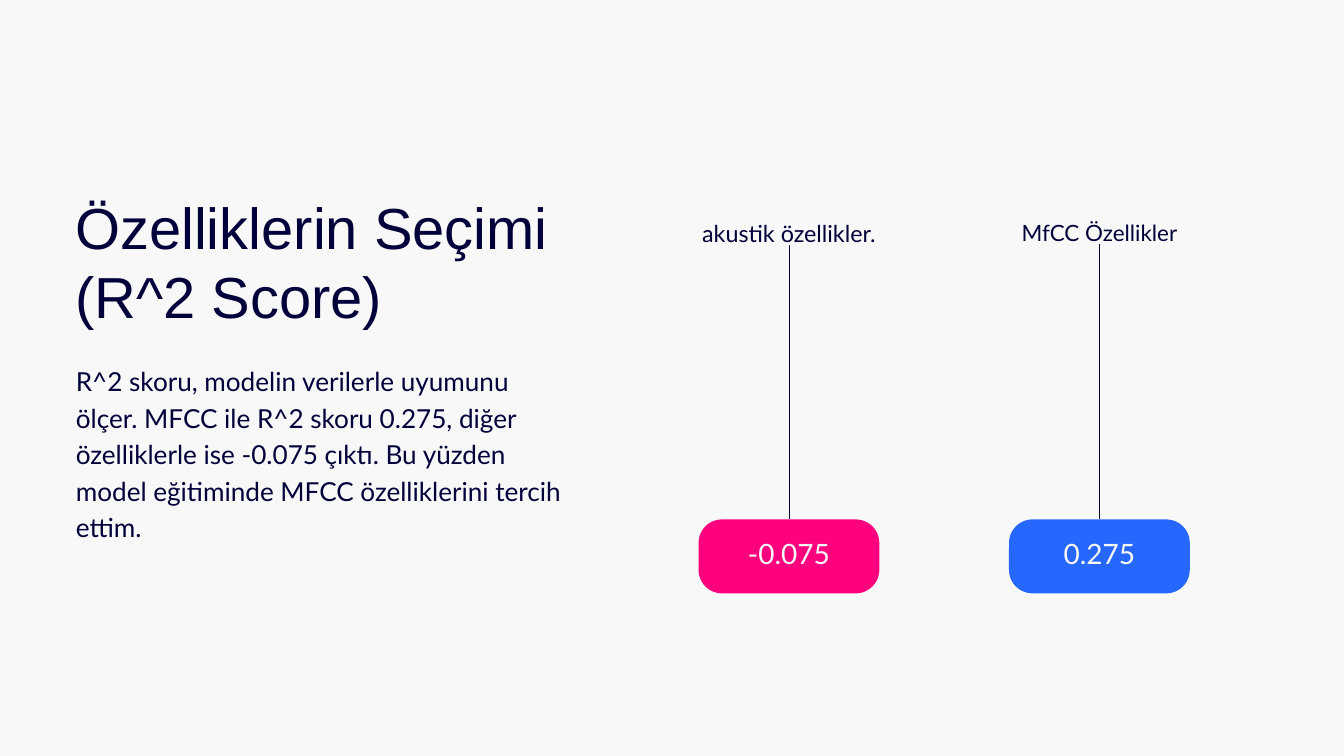
from dataclasses import dataclass

from lxml import etree
from pptx import Presentation
from pptx.dml.color import RGBColor
from pptx.enum.shapes import MSO_CONNECTOR, MSO_SHAPE
from pptx.enum.text import MSO_ANCHOR, PP_ALIGN
from pptx.oxml.ns import qn
from pptx.slide import Slide
from pptx.util import Inches, Pt

LEFT, CENTER = PP_ALIGN.LEFT, PP_ALIGN.CENTER
TOP, MIDDLE = MSO_ANCHOR.TOP, MSO_ANCHOR.MIDDLE
ROUNDED, STRAIGHT = MSO_SHAPE.ROUNDED_RECTANGLE, MSO_CONNECTOR.STRAIGHT

NAVY = RGBColor(0x01, 0x00, 0x3B)
PINK = RGBColor(0xFF, 0x00, 0x7E)
BLUE = RGBColor(0x26, 0x67, 0xFF)
PAPER = RGBColor(0xF8, 0xF8, 0xF8)

PILL_TOP, PILL_WIDTH, PILL_HEIGHT, PILL_RADIUS = 7.73, 2.69, 1.1, 0.35
SCORE_TOP, SCORE_HEIGHT = 7.57, 1.25
LABEL_TOP, LABEL_WIDTH = 3.19, 3.24


@dataclass
class TextBlock:
    text: str
    left: float
    top: float
    width: float
    height: float
    size: float
    leading: float
    font: str = "Lato"
    color: RGBColor = NAVY
    align: PP_ALIGN = LEFT
    anchor: MSO_ANCHOR = TOP


@dataclass
class Score:
    label: str
    value: str
    center: float
    label_size: float
    label_leading: float
    label_height: float
    color: RGBColor


BLOCKS = [
    TextBlock("Özelliklerin Seçimi (R^2 Score)", 1.12, 2.85, 8.03, 2.06, 62, 74.4, "Arial"),
    TextBlock(
        "R^2 skoru, modelin verilerle uyumunu ölçer. MFCC ile R^2 skoru 0.275, "
        "diğer özelliklerle ise -0.075 çıktı. Bu yüzden model eğitiminde MFCC "
        "özelliklerini tercih ettim.",
        1.13, 5.36, 7.27, 2.68, 28, 39.2,
    ),
]
SCORES = [
    Score("akustik özellikler.", "-0.075", 11.74, 25, 35, 0.46, PINK),
    Score("MfCC Özellikler", "0.275", 16.36, 24, 33.6, 0.44, BLUE),
]


def add_text(s: Slide, block: TextBlock) -> None:
    box = (block.left, block.top, block.width, block.height)
    tf = s.shapes.add_textbox(*map(Inches, box)).text_frame
    frame = {"word_wrap": True, "vertical_anchor": block.anchor}
    frame |= dict.fromkeys(("margin_left", "margin_top", "margin_right", "margin_bottom"), 0)
    for name, value in frame.items():
        setattr(tf, name, value)
    p = tf.paragraphs[0]
    for name, value in {"alignment": block.align, "line_spacing": Pt(block.leading)}.items():
        setattr(p, name, value)
    r = p.add_run()
    r.text = block.text
    for name, value in {"name": block.font, "size": Pt(block.size)}.items():
        setattr(r.font, name, value)
    r.font.color.rgb = block.color


def add_score(s: Slide, score: Score) -> None:
    pill_left = score.center - PILL_WIDTH / 2
    box = (pill_left, PILL_TOP, PILL_WIDTH, PILL_HEIGHT)
    pill = s.shapes.add_shape(ROUNDED, *map(Inches, box))
    pill.adjustments[0] = PILL_RADIUS / PILL_HEIGHT
    pill.shadow.inherit = False
    pill.fill.solid()
    pill.fill.fore_color.rgb = score.color
    pill.line.fill.background()
    add_text(s, TextBlock(score.value, pill_left, SCORE_TOP, PILL_WIDTH, SCORE_HEIGHT,
                          30, 42, color=PAPER, align=CENTER, anchor=MIDDLE))

    ends = (score.center, PILL_TOP, score.center, LABEL_TOP + score.label_height)
    stem = s.shapes.add_connector(STRAIGHT, *map(Inches, ends))
    stem.line.color.rgb = NAVY
    stem.line.width = Pt(0.75)
    etree.SubElement(stem._element.spPr, qn("a:effectLst"))
    add_text(s, TextBlock(score.label, score.center - LABEL_WIDTH / 2, LABEL_TOP,
                          LABEL_WIDTH, score.label_height, score.label_size,
                          score.label_leading, align=CENTER))


def main() -> None:
    """Build the feature selection slide with its two R^2 scores."""
    prs = Presentation()
    prs.slide_width, prs.slide_height = Inches(20), Inches(11.25)
    s = prs.slides.add_slide(prs.slide_layouts[6])
    s.background.fill.solid()
    s.background.fill.fore_color.rgb = PAPER
    for score in SCORES:
        add_score(s, score)
    for block in BLOCKS:
        add_text(s, block)
    prs.save("out.pptx")


if __name__ == "__main__":
    main()
